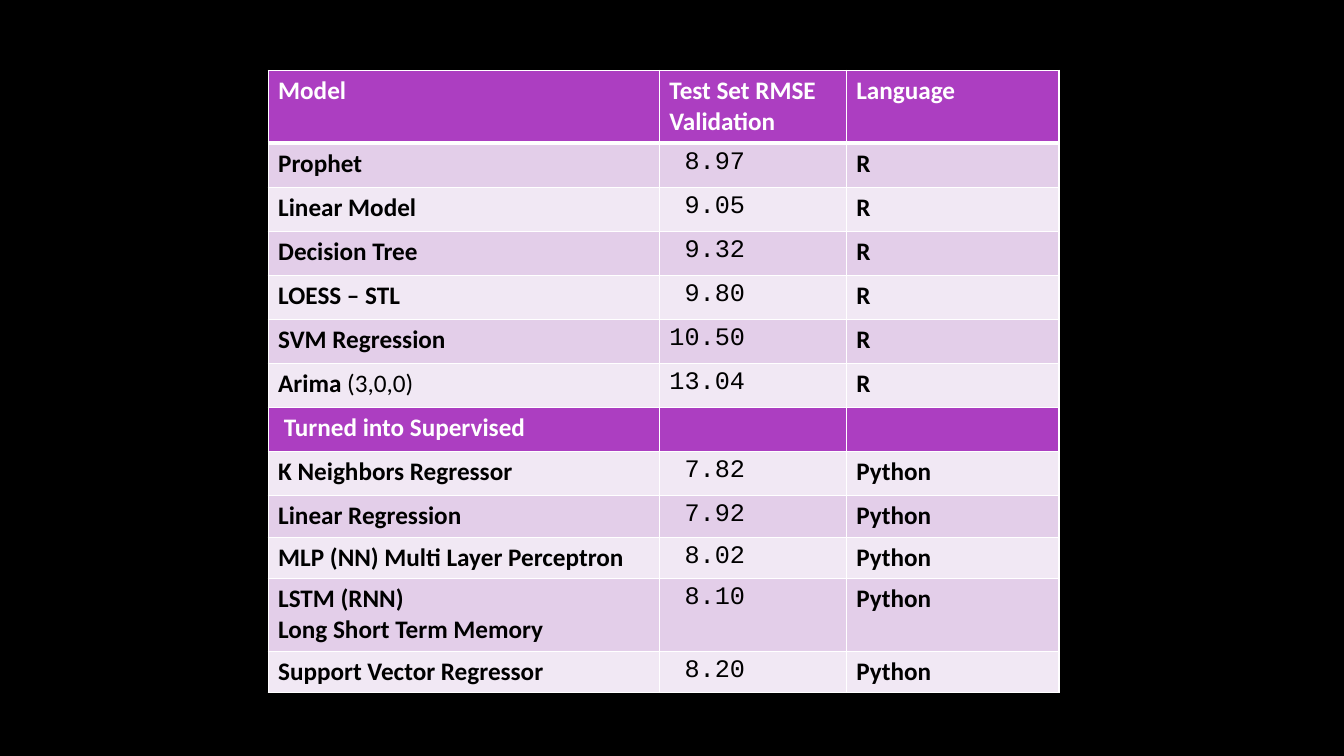
from lxml.etree import SubElement
from pptx import Presentation
from pptx.dml.color import RGBColor
from pptx.oxml.ns import qn
from pptx.util import Pt

COLORS = {
    "background": "000000",
    "heading": "AC3EC1",
    "odd": "E3CEE9",
    "even": "F1E8F4",
    "light": "FFFFFF",
    "dark": "000000",
}
BLANK_LAYOUT = 6
COLUMN_WIDTHS = [279.5, 133.5, 152]
ROW_HEIGHTS = [52] + [31.5] * 8 + [29.5, 29.5, 52, 29.5]

HEADER = ["Model", "Test Set RMSE\nValidation", "Language"]
SECTION = ["Turned into Supervised", "", ""]
FORECAST_MODELS = [
    ("Prophet", 8.97),
    ("Linear Model", 9.05),
    ("Decision Tree", 9.32),
    ("LOESS – STL", 9.80),
    ("SVM Regression", 10.50),
    ("Arima |(3,0,0)", 13.04),
]
SUPERVISED_MODELS = [
    ("K Neighbors Regressor", 7.82),
    ("Linear Regression", 7.92),
    ("MLP (NN) Multi Layer Perceptron", 8.02),
    ("LSTM (RNN)\nLong Short Term Memory", 8.10),
    ("Support Vector Regressor", 8.20),
]


def model_rows(models, language):
    return [[name, f"{error:5.2f}", language] for name, error in models]


def write_text(frame, text, font="Calibri", size=18, color="dark", bold=True):
    """Write one paragraph per line; text after a bar is not bold."""
    for index, line in enumerate(text.split("\n")):
        paragraph = frame.paragraphs[0] if index == 0 else frame.add_paragraph()
        paragraph.font.size = Pt(size)
        for part, words in enumerate(line.split("|")):
            if not words:
                continue
            run = paragraph.add_run()
            run.text = words
            run.font.name = font
            run.font.size = Pt(size)
            run.font.bold = bold and part == 0
            run.font.color.rgb = RGBColor.from_string(COLORS[color])


class SlideBuilder:
    """Holds the colours and the slide that is being filled."""

    def __init__(self, presentation, colors):
        self.colors = colors
        self.slide = presentation.slides.add_slide(
            presentation.slide_layouts[BLANK_LAYOUT])

    def background(self, color):
        self.paint(self.slide.background.fill, color)

    def paint(self, fill, color):
        fill.solid()
        fill.fore_color.rgb = RGBColor.from_string(self.colors[color])

    def borders(self, cell, color, **widths):
        """Draw the edges L, R, T and B, 1 point wide unless given."""
        properties = cell._tc.get_or_add_tcPr()
        for position, side in enumerate("LRTB"):
            line = SubElement(properties, qn(f"a:ln{side}"),
                              w=str(Pt(widths.get(side, 1))))
            fill = SubElement(line, qn("a:solidFill"))
            SubElement(fill, qn("a:srgbClr"), val=self.colors[color])
            properties.insert(position, line)

    def table(self, rows, left, top, widths, heights, headings):
        frame = self.slide.shapes.add_table(
            len(rows), len(widths), Pt(left), Pt(top),
            Pt(sum(widths)), Pt(sum(heights)))
        table = frame.table
        for column, width in zip(table.columns, widths):
            column.width = Pt(width)
        for index, (row, height) in enumerate(zip(table.rows, heights)):
            row.height = Pt(height)
            heading = index in headings
            band = "heading" if heading else "odd" if index % 2 else "even"
            edges = {0: {"B": 3}, 1: {"T": 3}}.get(index, {})
            for number, (cell, text) in enumerate(zip(row.cells, rows[index])):
                self.paint(cell.fill, band)
                self.borders(cell, "light", **edges)
                is_value = number == 1 and not heading
                write_text(cell.text_frame, text,
                           font="Courier New" if is_value else "Calibri",
                           color="light" if heading else "dark",
                           bold=not is_value)
        return table


def main():
    presentation = Presentation()
    presentation.slide_width = Pt(960)
    presentation.slide_height = Pt(540)

    rows = [HEADER, *model_rows(FORECAST_MODELS, "R"),
            SECTION, *model_rows(SUPERVISED_MODELS, "Python")]
    section_row = rows.index(SECTION)

    builder = SlideBuilder(presentation, COLORS)
    builder.background("background")
    table = builder.table(rows, 191.5, 50.25, COLUMN_WIDTHS, ROW_HEIGHTS,
                          headings={0, section_row})
    table.cell(section_row, 0).margin_left = Pt(11.2)

    presentation.save("out.pptx")


if __name__ == "__main__":
    main()
